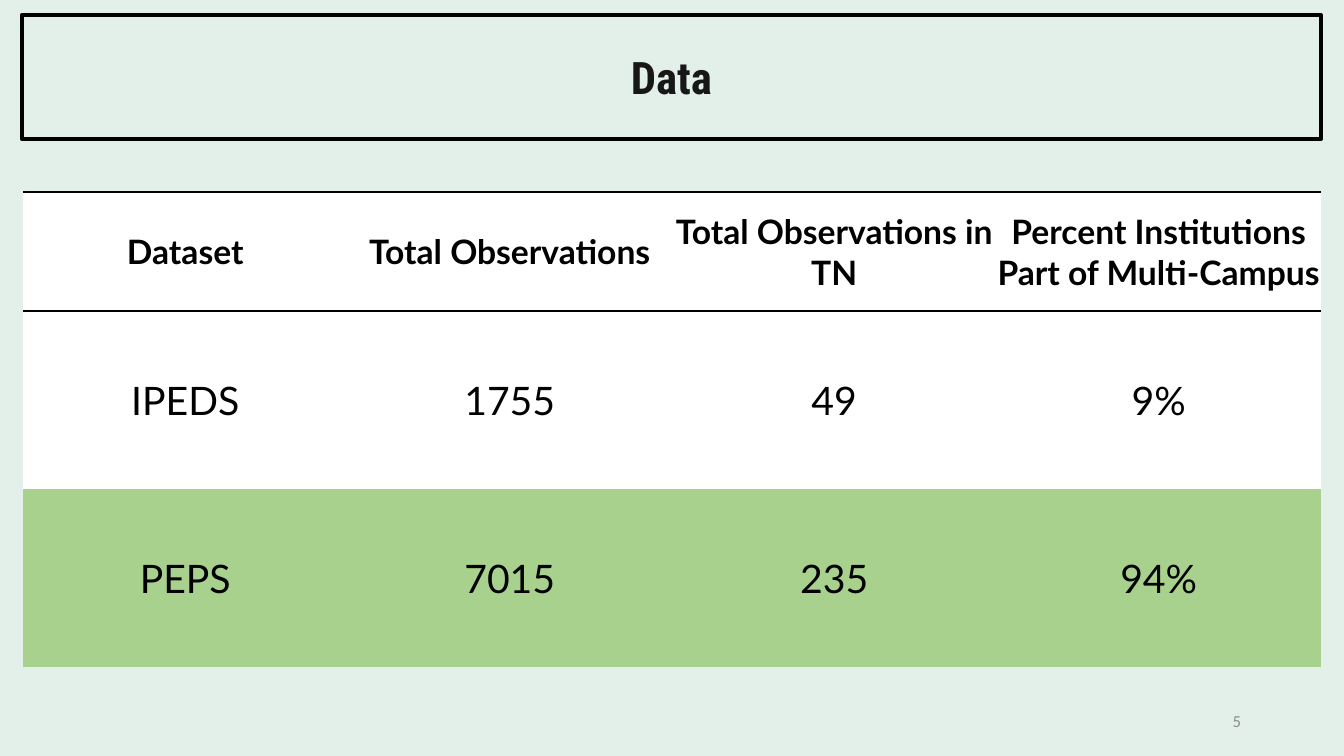
from lxml import etree
from pptx import Presentation
from pptx.dml.color import RGBColor
from pptx.enum.text import MSO_ANCHOR, MSO_AUTO_SIZE, PP_ALIGN
from pptx.oxml.ns import qn
from pptx.util import Pt

MIDDLE = MSO_ANCHOR.MIDDLE
CENTER, RIGHT = PP_ALIGN.CENTER, PP_ALIGN.RIGHT
PX = 914400 / 100.8
BLACK, WHITE, GREEN = "000000", "FFFFFF", "A9D18E"


def px(*sizes):
    return [round(size * PX) for size in sizes]


def style(para, font, size, color, bold, align):
    para.alignment = align
    para.font.name = font
    para.font.size = Pt(size)
    para.font.bold = bold
    para.font.color.rgb = RGBColor.from_string(color)


# Slide and background
deck = Presentation()
deck.slide_width, deck.slide_height = px(1344, 756)
slide = deck.slides.add_slide(deck.slide_layouts[5])
back = slide.background.fill
back.solid()
back.fore_color.rgb = RGBColor.from_string("E3F0EA")

# Framed title
title = slide.shapes.title
title.left, title.top, title.width, title.height = px(22, 15, 1299, 124)
title.line.color.rgb = RGBColor.from_string(BLACK)
title.line.width = Pt(3)
frame = title.text_frame
frame.text = "Data"
frame.auto_size = MSO_AUTO_SIZE.NONE
frame.vertical_anchor = MIDDLE
style(frame.paragraphs[0], "Roboto Condensed", 32, "181717", True, CENTER)

# Page number
frame = slide.shapes.add_textbox(*px(949, 701, 302, 40)).text_frame
frame.word_wrap = True
frame.vertical_anchor = MIDDLE
frame.text = "5"
style(frame.paragraphs[0], "Calibri", 12, "8C8C8C", False, RIGHT)

# Table: text, row height, fill and ruled sides by row
rows = [
    (["Dataset", "Total Observations", "Total Observations in TN",
      "Percent Institutions Part of Multi-Campus"], 119, WHITE, "TB"),
    (["IPEDS", "1755", "49", "9%"], 178, WHITE, "T"),
    (["PEPS", "7015", "235", "94%"], 178, GREEN, ""),
]
table = slide.shapes.add_table(3, 4, *px(23, 192, 1298, 475)).table
table.horz_banding = False
table.first_row = False
for r, (texts, height, fill, ruled) in enumerate(rows):
    table.rows[r].height = px(height)[0]
    for c, text in enumerate(texts):
        cell = table.cell(r, c)
        cell.text = text
        cell.vertical_anchor = MIDDLE
        cell.margin_left, cell.margin_top, cell.margin_right = px(1, 1, 1)
        cell.margin_bottom = 0
        head = r == 0
        style(cell.text_frame.paragraphs[0], "Lato", 24 if head else 28,
              BLACK, head, CENTER)

        # Borders come before the fill
        props = cell._tc.get_or_add_tcPr()
        for side in "LRTB":
            line = etree.SubElement(props, qn("a:ln" + side), w=str(Pt(1)))
            if side in ruled:
                solid = etree.SubElement(line, qn("a:solidFill"))
                etree.SubElement(solid, qn("a:srgbClr"), val=BLACK)
            else:
                etree.SubElement(line, qn("a:noFill"))
        cell.fill.solid()
        cell.fill.fore_color.rgb = RGBColor.from_string(fill)

deck.save("out.pptx")
